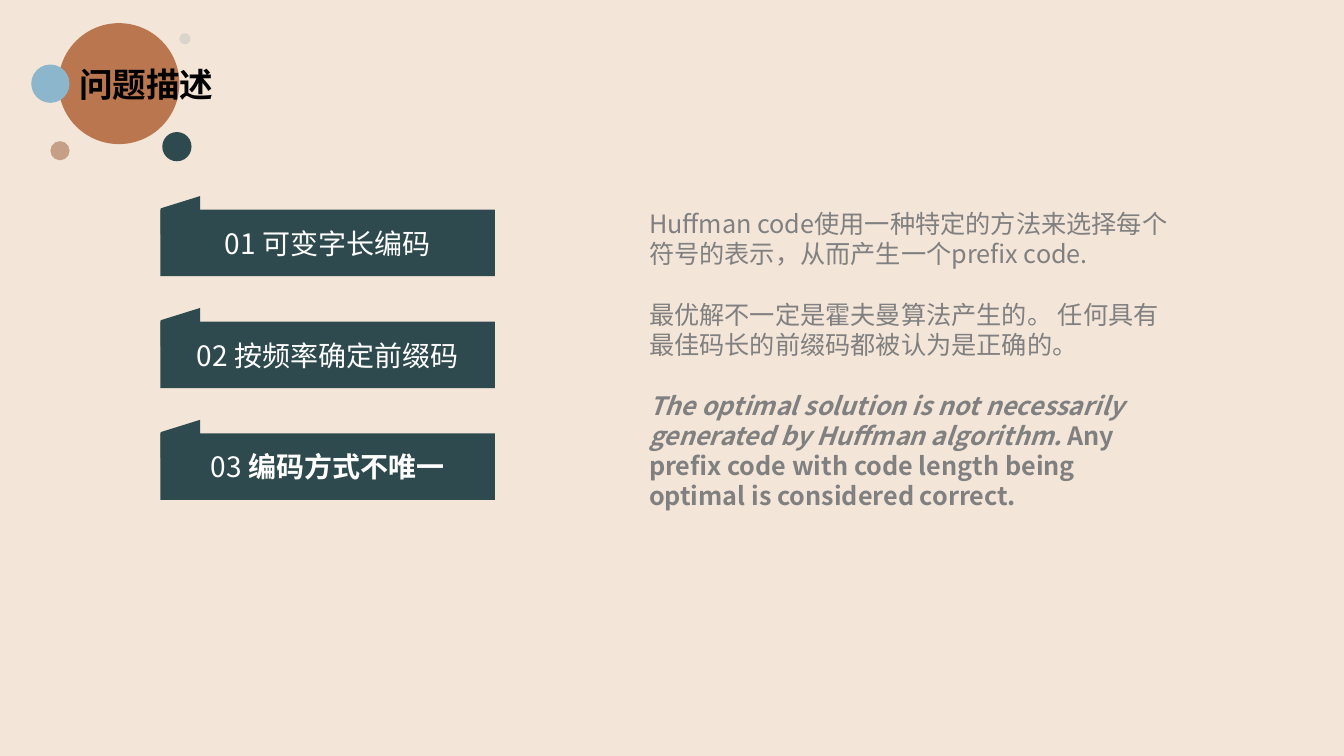
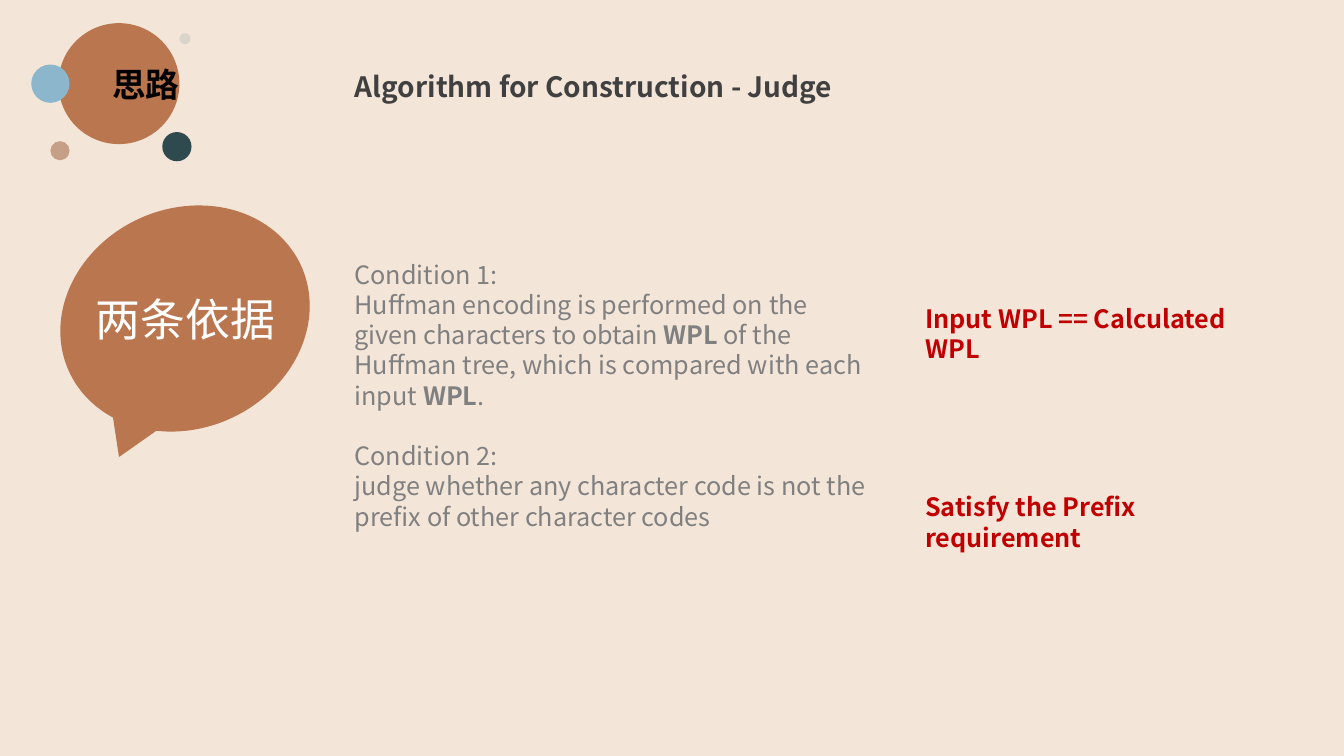
from lxml.etree import SubElement
from pptx import Presentation
from pptx.dml.color import RGBColor
from pptx.enum.shapes import MSO_SHAPE as Preset
from pptx.enum.text import MSO_ANCHOR as Anchor, MSO_AUTO_SIZE as AutoSize, PP_ALIGN as Align
from pptx.oxml.ns import qn
from pptx.util import Inches, Pt

CELL = 0.1  # side of a square grid cell, in inches
COLUMNS, ROWS = 133.33, 75
FONT = "Noto Sans CJK SC"
LINE_HEIGHT = 1.2
BODY_SIZE = 18
COLORS = {
    "background": "F3E5D8",
    "clay": "BA764F",
    "sky": "8BB6CB",
    "sand": "C5A086",
    "teal": "2E4A4E",
    "mist": "D9D5CA",
    "title": "000000",
    "heading": "404040",
    "body": "808080",
    "white": "FFFFFF",
    "accent": "C00000",
}
# left, top, diameter, colour
CIRCLES = [
    (5.8, 2.3, 12, "clay"),
    (3.1, 6.4, 3.8, "sky"),
    (5, 14, 1.9, "sand"),
    (16.1, 13.1, 2.9, "teal"),
    (17.8, 3.3, 1.1, "mist"),
]
TITLE_CENTER = 14.6
TEXT_COLUMN, RESULT_COLUMN = 34.2, 90.8


def rgb(name):
    return RGBColor.from_string(COLORS[name])


def cells(*counts):
    return [Inches(count * CELL) for count in counts]


def write(frame, paragraphs, size, color, bold=False, align=Align.LEFT):
    """Fill a frame; a paragraph is (runs, lines left free above it), a run (text, style letters)."""
    for index, (runs, free_lines) in enumerate(paragraphs):
        paragraph = frame.add_paragraph() if index else frame.paragraphs[0]
        paragraph.alignment = align
        paragraph.line_spacing = Pt(size * LINE_HEIGHT)
        paragraph.space_before = Pt(size * LINE_HEIGHT * free_lines)
        font = paragraph.font
        font.name, font.size, font.bold = FONT, Pt(size), bold
        font.color.rgb = rgb(color)
        SubElement(font._rPr, qn("a:ea")).set("typeface", FONT)
        for text, style in runs:
            run = paragraph.add_run()
            run.text = text
            if "b" in style:
                run.font.bold = True
            if "i" in style:
                run.font.italic = True


def plain(text):
    return [([(text, "")], 0)]


def add_text(slide, box, paragraphs, size, color, **style):
    frame = slide.shapes.add_textbox(*cells(*box)).text_frame
    frame.word_wrap = True
    write(frame, paragraphs, size, color, **style)


def add_filled(shapes, preset, box, color):
    shape = shapes.add_shape(preset, *cells(*box))
    shape.shadow.inherit = False
    shape.fill.solid()
    shape.fill.fore_color.rgb = rgb(color)
    shape.line.fill.background()
    return shape


def turn(shape, angle, adjustments):
    """Mirror a shape left to right, rotate it and set its adjustments."""
    shape._element.spPr.xfrm.set("flipH", "1")
    shape.rotation = angle
    for index, value in enumerate(adjustments):
        shape.adjustments[index] = value


def add_titled_slide(presentation, title, width):
    slide = presentation.slides.add_slide(presentation.slide_layouts[5])
    bubbles = slide.shapes.add_group_shape()
    for left, top, diameter, color in CIRCLES:
        add_filled(bubbles.shapes, Preset.OVAL, (left, top, diameter, diameter), color)
    placeholder = slide.shapes.title
    bubbles._element.addnext(placeholder._element)
    box = (TITLE_CENTER - width / 2, 5.8, width, 5)
    placeholder.left, placeholder.top, placeholder.width, placeholder.height = cells(*box)
    frame = placeholder.text_frame
    frame.auto_size = AutoSize.NONE
    frame.word_wrap = False
    frame.vertical_anchor = Anchor.TOP
    write(frame, plain(title), 24, "title", bold=True)
    return slide


def add_banner(slide, top, runs):
    """A label bar with a folded tab at its upper left corner."""
    tab = add_filled(slide.shapes, Preset.PARALLELOGRAM, (16, top - 1.4, 3.8, 3.9), "teal")
    turn(tab, 90, [0.32])
    bar = add_filled(slide.shapes, Preset.RECTANGLE, (15.9, top, 33.2, 6.6), "teal")
    frame = bar.text_frame
    frame.word_wrap = False
    frame.vertical_anchor = Anchor.MIDDLE
    write(frame, [(runs, 0)], 20, "white", align=Align.CENTER)


def build_problem(presentation):
    slide = add_titled_slide(presentation, "问题描述", 15.5)
    banners = [
        [("01 可变字长编码", "")],
        [("02 按频率确定前缀码", "")],
        [("03 ", ""), ("编码方式不唯一", "b")],
    ]
    for index, runs in enumerate(banners):
        add_banner(slide, 20.8 + 11.1 * index, runs)
    add_text(slide, (63.4, 20.2, 54.1, 31.3), [
        ([("Huffman code使用一种特定的方法来选择每个符号的表示，从而产生一个prefix code.", "")], 0),
        ([("最优解不一定是霍夫曼算法产生的。 任何具有最佳码长的前缀码都被认为是正确的。", "")], 1),
        ([("The optimal solution is not necessarily generated by Huffman algorithm. ", "bi"),
          ("Any prefix code with code length being optimal is considered correct.", "b")], 1),
    ], BODY_SIZE, "body")


def build_idea(presentation):
    slide = add_titled_slide(presentation, "思路", 8.9)
    add_text(slide, (TEXT_COLUMN, 6.4, 64.9, 4.4),
             plain("Algorithm for Construction - Judge"), 20, "heading", bold=True)
    callout = add_filled(slide.shapes, Preset.OVAL_CALLOUT, (5.7, 20.7, 25.3, 21.8), "clay")
    turn(callout, 335.6, [0.46, 0.45])
    add_text(slide, (7.1, 28.4, 22.6, 6.4), plain("两条依据"), 32, "white", align=Align.CENTER)
    add_text(slide, (TEXT_COLUMN, 25.2, 53.7, 28.3), [
        ([("Condition 1:", "")], 0),
        ([("Huffman encoding is performed on the given characters to obtain ", ""), ("WPL", "b"),
          (" of the Huffman tree, which is compared with each input ", ""), ("WPL", "b"),
          (".", "")], 0),
        ([("Condition 2:", "")], 1),
        ([("judge whether any character code is not the prefix of other character codes", "")], 0),
    ], BODY_SIZE, "body")
    results = [
        (29.6, 37.2, "Input WPL == Calculated WPL"),
        (48.3, 38.4, "Satisfy the Prefix requirement"),
    ]
    for top, width, text in results:
        add_text(slide, (RESULT_COLUMN, top, width, 4), plain(text), BODY_SIZE, "accent", bold=True)


def main():
    presentation = Presentation()
    presentation.slide_width, presentation.slide_height = cells(COLUMNS, ROWS)
    background = presentation.slide_master.background.fill
    background.solid()
    background.fore_color.rgb = rgb("background")
    build_problem(presentation)
    build_idea(presentation)
    presentation.save("out.pptx")


if __name__ == "__main__":
    main()
